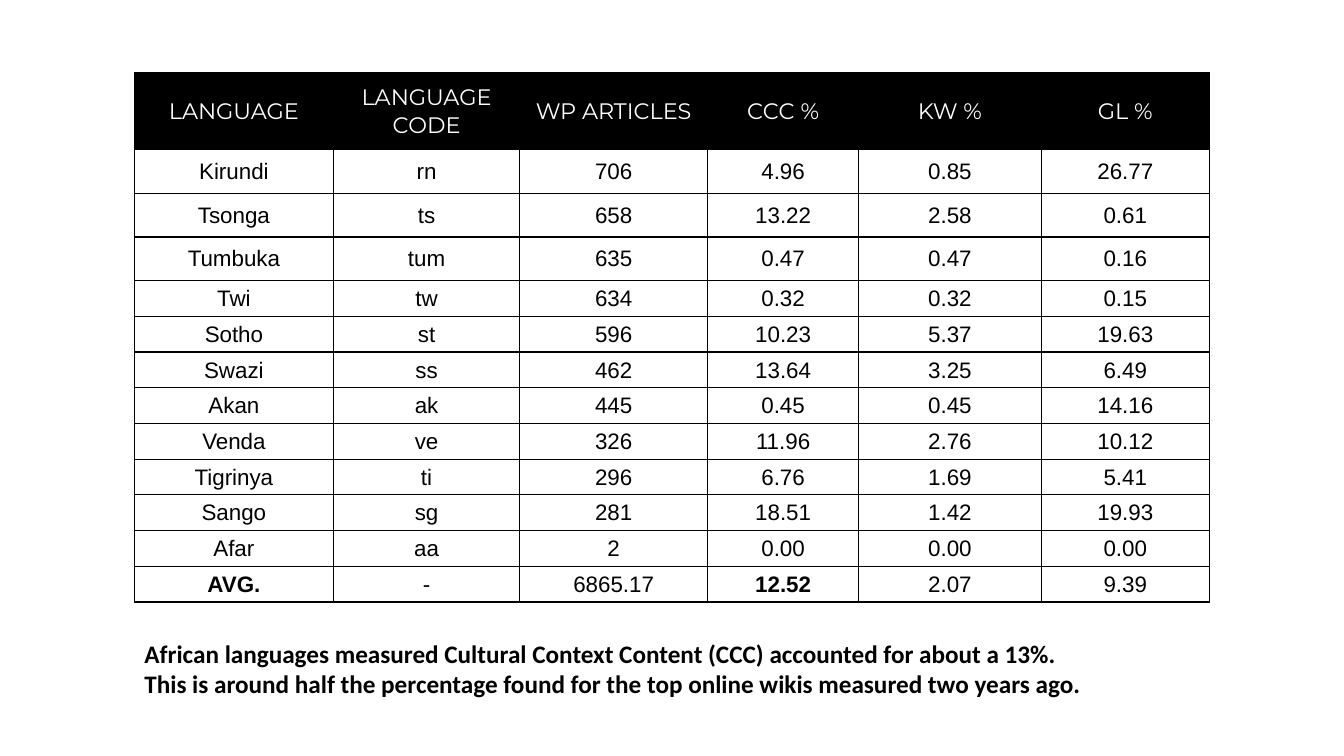
from lxml import etree
from pptx import Presentation
from pptx.dml.color import RGBColor
from pptx.enum.text import MSO_ANCHOR, PP_ALIGN
from pptx.oxml.ns import qn
from pptx.util import Cm, Pt

COLORS = {"black": "000000", "white": "FFFFFF"}
BORDER_WIDTH = Pt(1)

HEADERS = ["LANGUAGE", "LANGUAGE CODE", "WP ARTICLES", "CCC %", "KW %", "GL %"]
LANGUAGES = [
    ["Kirundi", "rn", "706", "4.96", "0.85", "26.77"],
    ["Tsonga", "ts", "658", "13.22", "2.58", "0.61"],
    ["Tumbuka", "tum", "635", "0.47", "0.47", "0.16"],
    ["Twi", "tw", "634", "0.32", "0.32", "0.15"],
    ["Sotho", "st", "596", "10.23", "5.37", "19.63"],
    ["Swazi", "ss", "462", "13.64", "3.25", "6.49"],
    ["Akan", "ak", "445", "0.45", "0.45", "14.16"],
    ["Venda", "ve", "326", "11.96", "2.76", "10.12"],
    ["Tigrinya", "ti", "296", "6.76", "1.69", "5.41"],
    ["Sango", "sg", "281", "18.51", "1.42", "19.93"],
    ["Afar", "aa", "2", "0.00", "0.00", "0.00"],
]
AVERAGE = ["AVG.", "-", "6865.17", "12.52", "2.07", "9.39"]
BOLD_AVERAGES = ["AVG.", "12.52"]
ROWS = [HEADERS, *LANGUAGES, AVERAGE]
COLUMN_WIDTHS = [5.01, 4.7, 4.73, 3.81, 4.6, 4.24]
ROW_HEIGHTS = [1.94] + [1.1] * 3 + [0.9] * 9
TAKEAWAY = [
    "African languages measured Cultural Context Content (CCC) accounted for about a 13%.",
    "This is around half the percentage found for the top online wikis measured two years ago.",
]


def format_font(font, name, size, color, bold=False):
    font.name = name
    font.size = Pt(size)
    font.bold = bold
    font.color.rgb = RGBColor.from_string(COLORS[color])


def add_borders(cell):
    properties = cell._tc.get_or_add_tcPr()
    for position, tag in enumerate(["a:lnL", "a:lnR", "a:lnT", "a:lnB"]):
        line = etree.Element(qn(tag), w=str(BORDER_WIDTH))
        fill = etree.SubElement(line, qn("a:solidFill"))
        etree.SubElement(fill, qn("a:srgbClr"), val=COLORS["black"])
        properties.insert(position, line)


presentation = Presentation()
presentation.slide_width = Cm(33.87)
presentation.slide_height = Cm(19.05)
slide = presentation.slides.add_slide(presentation.slide_layouts[6])

# Language table
table = slide.shapes.add_table(
    len(ROWS), len(HEADERS), Cm(3.39), Cm(1.83),
    Cm(sum(COLUMN_WIDTHS)), Cm(sum(ROW_HEIGHTS)),
).table
table.first_row = False
table.horz_banding = False
for column, width in zip(table.columns, COLUMN_WIDTHS):
    column.width = Cm(width)

for row, height, values in zip(table.rows, ROW_HEIGHTS, ROWS):
    row.height = Cm(height)
    for cell, value in zip(row.cells, values):
        cell.text_frame.text = value
        cell.vertical_anchor = MSO_ANCHOR.MIDDLE
        cell.margin_left = cell.margin_right = cell.margin_top = Cm(0.02)
        cell.margin_bottom = Cm(0)
        paragraph = cell.text_frame.paragraphs[0]
        paragraph.alignment = PP_ALIGN.CENTER
        font = paragraph.runs[0].font
        if values is HEADERS:
            cell.fill.solid()
            cell.fill.fore_color.rgb = RGBColor.from_string(COLORS["black"])
            format_font(font, "Montserrat", 16, "white")
        else:
            cell.fill.background()
            bold = values is AVERAGE and value in BOLD_AVERAGES
            format_font(font, "Arial", 16, "black", bold)
        add_borders(cell)

# Takeaway below the table
takeaway = slide.shapes.add_textbox(Cm(3.39), Cm(15.95), Cm(27.28), Cm(1.8))
takeaway.text_frame.word_wrap = True
takeaway.text_frame.text = "\n".join(TAKEAWAY)
for paragraph in takeaway.text_frame.paragraphs:
    format_font(paragraph.runs[0].font, "Calibri", 18, "black", bold=True)

presentation.save("out.pptx")
